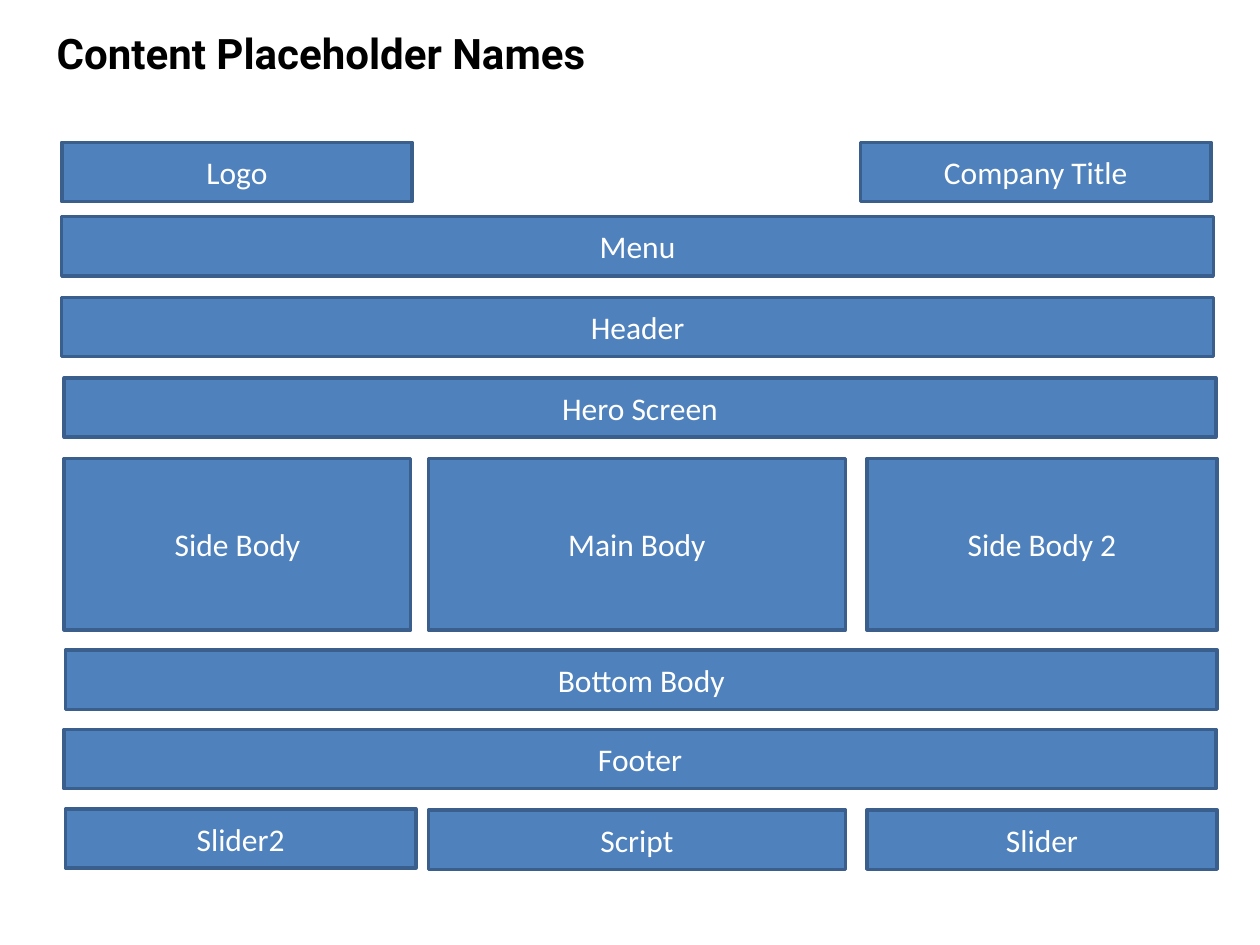
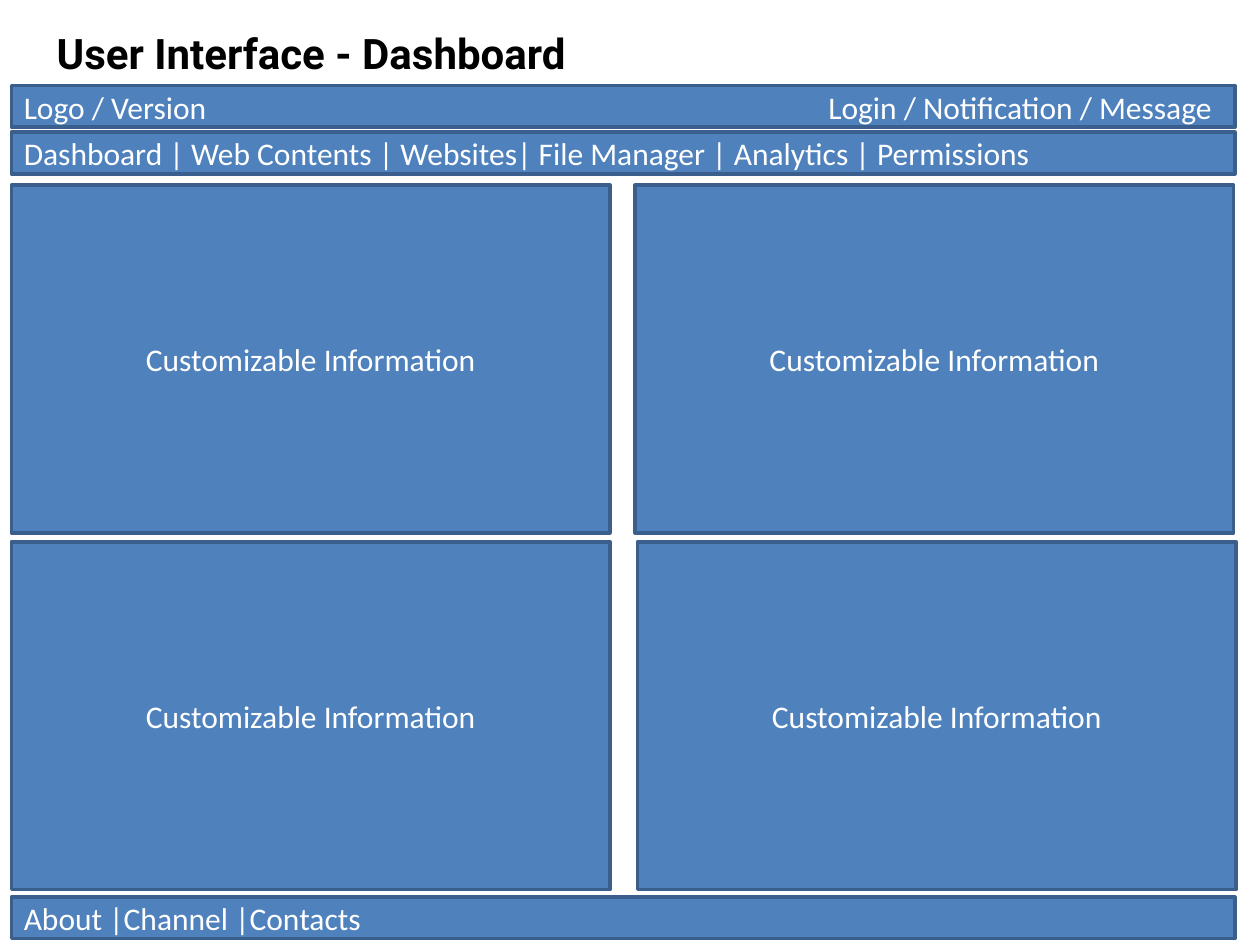
"""Build two wireframe slides: placeholder names and a dashboard layout."""
import lxml.etree
import pptx
import pptx.dml.color
import pptx.enum.shapes
import pptx.enum.text
import pptx.oxml.ns
import pptx.util

Inches = pptx.util.Inches
ALIGN = pptx.enum.text.PP_ALIGN
ANCHOR = pptx.enum.text.MSO_ANCHOR
COLORS = {"title": "000000", "fill": "4F81BD", "line": "3A5F8C", "label": "FFFFFF"}


class Wireframe:
    """Hold the shared style and the slide being drawn."""

    def __init__(self, presentation):
        self.presentation = presentation
        self.slide = None

    def color(self, name):
        return pptx.dml.color.RGBColor.from_string(COLORS[name])

    def style(self, paragraph, font_name, size, color, align, bold=False):
        paragraph.alignment = align
        font = paragraph.font
        font.name, font.size, font.bold = font_name, pptx.util.Pt(size), bold
        font.color.rgb = self.color(color)

    def start_slide(self, title, width):
        layout = self.presentation.slide_layouts[5]
        self.slide = self.presentation.slides.add_slide(layout)
        shape = self.slide.shapes.title
        shape.left, shape.top = Inches(0.35), Inches(0.17)
        shape.width, shape.height = Inches(width), Inches(0.5)
        frame = shape.text_frame
        frame.text = title
        frame.word_wrap = False
        frame.auto_size = pptx.enum.text.MSO_AUTO_SIZE.SHAPE_TO_FIT_TEXT
        frame.vertical_anchor = ANCHOR.TOP
        self.style(frame.paragraphs[0], "Roboto", 24, "title", ALIGN.LEFT, True)

    def box(self, label, left, top, width, height, align=ALIGN.CENTER):
        shape = self.slide.shapes.add_shape(
            pptx.enum.shapes.MSO_SHAPE.RECTANGLE,
            Inches(left), Inches(top), Inches(width), Inches(height))
        shape.shadow.inherit = False
        shape.fill.solid()
        shape.fill.fore_color.rgb = self.color("fill")
        shape.line.color.rgb = self.color("line")
        shape.line.width = pptx.util.Pt(2)
        frame = shape.text_frame
        frame.text = label
        frame.word_wrap = True
        frame.vertical_anchor = ANCHOR.MIDDLE
        self.style(frame.paragraphs[0], "Calibri", 18, "label", align)
        return shape

    def bar(self, label, top):
        return self.box(label, 0.09, top, 9.71, 0.33, ALIGN.LEFT)

    def right_tab(self, shape, position):
        properties = shape.text_frame.paragraphs[0]._p.get_or_add_pPr()
        tabs = lxml.etree.Element(pptx.oxml.ns.qn("a:tabLst"))
        lxml.etree.SubElement(tabs, pptx.oxml.ns.qn("a:tab"),
                              pos=str(Inches(position)), algn="r")
        properties.insert(0, tabs)


def draw_placeholder_names(wireframe):
    wireframe.start_slide("Content Placeholder Names", 5.15)
    row_height, body_height = 0.47, 1.36
    side_width, main_width, full_width = 2.78, 3.31, 9.14
    main_left, right_left = 3.4, 6.88

    wireframe.box("Logo", 0.49, 1.13, side_width, row_height)
    wireframe.box("Company Title", 6.83, 1.13, side_width, row_height)
    for label, left, top in [
        ("Menu", 0.49, 1.72),
        ("Header", 0.49, 2.36),
        ("Hero Screen", 0.51, 3),
        ("Bottom Body", 0.52, 5.16),
        ("Footer", 0.51, 5.79),
    ]:
        wireframe.box(label, left, top, full_width, row_height)

    wireframe.box("Side Body", 0.51, 3.64, 2.75, body_height)
    wireframe.box("Slider2", 0.52, 6.42, side_width, row_height)
    for main_label, right_label, top, height in [
        ("Main Body", "Side Body 2", 3.64, body_height),
        ("Script", "Slider", 6.43, row_height),
    ]:
        wireframe.box(main_label, main_left, top, main_width, height)
        wireframe.box(right_label, right_left, top, side_width, height)


def draw_dashboard(wireframe):
    wireframe.start_slide("User Interface - Dashboard", 5.1)
    top_bar = wireframe.bar("Logo / Version\tLogin / Notification / Message", 0.68)
    wireframe.right_tab(top_bar, 9.43)
    wireframe.bar("Dashboard | Web Contents | Websites| File Manager | "
                  "Analytics | Permissions", 1.05)
    for top, right_left in [(1.47, 5.04), (4.3, 5.06)]:
        for left in (0.09, right_left):
            wireframe.box("Customizable Information", left, top, 4.75, 2.76)
    wireframe.bar("About |Channel |Contacts", 7.12)


def main():
    presentation = pptx.Presentation()
    presentation.slide_width = Inches(10)
    presentation.slide_height = Inches(7.5)
    wireframe = Wireframe(presentation)
    draw_placeholder_names(wireframe)
    draw_dashboard(wireframe)
    presentation.save("out.pptx")


if __name__ == "__main__":
    main()
